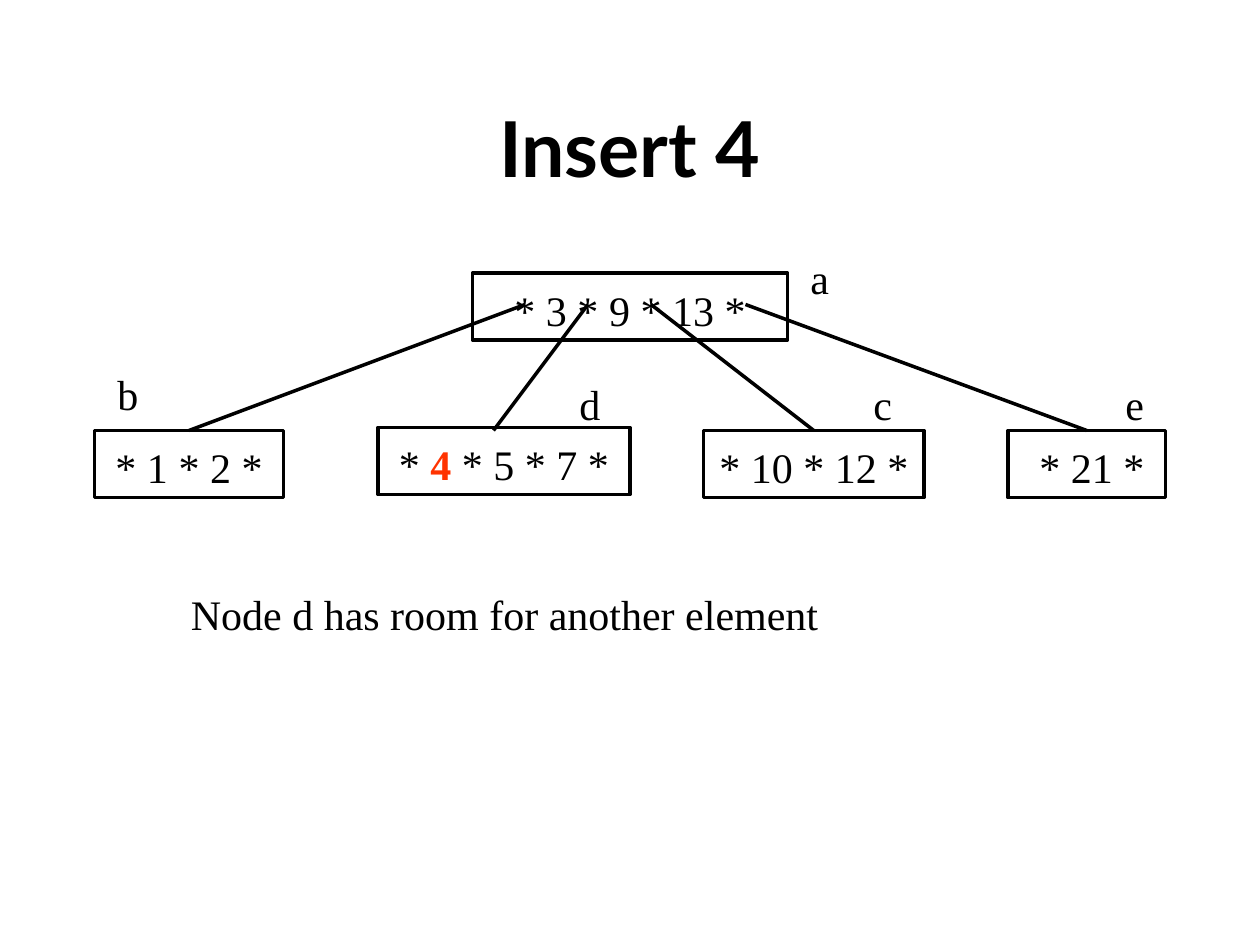
import pptx
import pptx.util
import pptx.dml.color
import pptx.enum.shapes
import pptx.enum.text
import pptx.oxml

COLORS = {"ink": "000000", "new": "FF3300"}
WIDE, HIGH = 10, 7.5
COLS, ROWS = 120, 90
LEAF = 41  # row of the leaf tops
TALL = 6.4  # rows in a node
ALIGN = pptx.enum.text.PP_ALIGN
ANCHOR = pptx.enum.text.MSO_ANCHOR
BODY = {"size": pptx.util.Pt(24), "name": "Times New Roman", "bold": False}
HEAD = {"size": pptx.util.Pt(44), "name": "Lato", "bold": True}
FRAME = {"word_wrap": True, "margin_top": pptx.util.Inches(0.09),
         "margin_bottom": 0, "vertical_anchor": ANCHOR.TOP}

# column, row, width in columns, runs of (text, color, bold)
ROOT = (45, 26, 30, [("* 3 * 9 * 13 *", "ink", False)])
LEAVES = {
    "b": (9, LEAF, 18, [("* 1 * 2 *", "ink", False)]),
    "d": (36, LEAF - 0.3, 24,
          [("* ", "ink", False), ("4", "new", True), (" * 5 * 7 *", "ink", False)]),
    "c": (67, LEAF, 21, [("* 10 * 12 *", "ink", False)]),
    "e": (96, LEAF, 15, [(" * 21 *", "ink", False)]),
}
# leaf, column at the root, column at the leaf (None for its top middle)
EDGES = [("b", 50, None), ("d", 56, 47), ("c", 62, None), ("e", 71, None)]
NAMES = [("a", 76, 23), ("b", 10, 34), ("d", 54, 35), ("c", 82, 35), ("e", 106, 35)]


def across(col):
    return pptx.util.Inches(WIDE * col / COLS)


def down(row):
    return pptx.util.Inches(HIGH * row / ROWS)


def place(col, row, wide, tall):
    return across(col), down(row), across(wide), down(tall)


def tint(key):
    return pptx.dml.color.RGBColor.from_string(COLORS[key])


def apply(item, values):
    for key, value in values.items():
        setattr(item, key, value)


def write(shape, runs, look=BODY, align=ALIGN.LEFT, **extra):
    apply(shape.text_frame, {**FRAME, **extra})
    para = shape.text_frame.paragraphs[0]
    para.alignment = align
    for text, color, bold in runs:
        run = para.add_run()
        run.text = text
        apply(run.font, {**look, "bold": bold})
        run.font.color.rgb = tint(color)


def label(slide, text, col, row, wide=6):
    box = slide.shapes.add_textbox(*place(col, row, wide, 6))
    write(box, [(text, "ink", False)])


def title(slide, text):
    box = slide.shapes.add_textbox(*place(9, 8, 102, 12))
    write(box, [(text, "ink", True)], HEAD, ALIGN.CENTER, vertical_anchor=ANCHOR.MIDDLE,
          margin_top=pptx.util.Inches(0.05), margin_bottom=pptx.util.Inches(0.05))


def stroke(shape):
    shape.line.color.rgb = tint("ink")
    shape.line.width = pptx.util.Pt(2)


def node(slide, col, row, wide, runs):
    kind = pptx.enum.shapes.MSO_SHAPE.RECTANGLE
    box = slide.shapes.add_shape(kind, *place(col, row, wide, TALL))
    box.shadow.inherit = False
    box.fill.background()
    stroke(box)
    write(box, runs, align=ALIGN.CENTER)
    return box


def edge(slide, start, end, leaf):
    """Draw from the root to a column of the leaf row, or to the leaf's top middle."""
    kind = pptx.enum.shapes.MSO_CONNECTOR.STRAIGHT
    line = slide.shapes.add_connector(
        kind, across(start), down(29), across(end or start), down(LEAF))
    if end is None:
        line.end_connect(leaf, 0)
    stroke(line)
    line._element.spPr.append(pptx.oxml.parse_xml(
        '<a:effectLst xmlns:a="http://schemas.openxmlformats.org/drawingml/2006/main"/>'))


def main():
    deck = pptx.Presentation()
    deck.slide_width = pptx.util.Inches(WIDE)
    deck.slide_height = pptx.util.Inches(HIGH)
    slide = deck.slides.add_slide(deck.slide_layouts[6])
    title(slide, "Insert 4")
    node(slide, *ROOT)
    leaves = {name: node(slide, *leaf) for name, leaf in LEAVES.items()}
    for name, start, end in EDGES:
        edge(slide, start, end, leaves[name])
    for name, col, row in NAMES:
        label(slide, name, col, row)
    label(slide, "Node d has room for another element", 17, 55, 83)
    deck.save("out.pptx")


if __name__ == "__main__":
    main()
